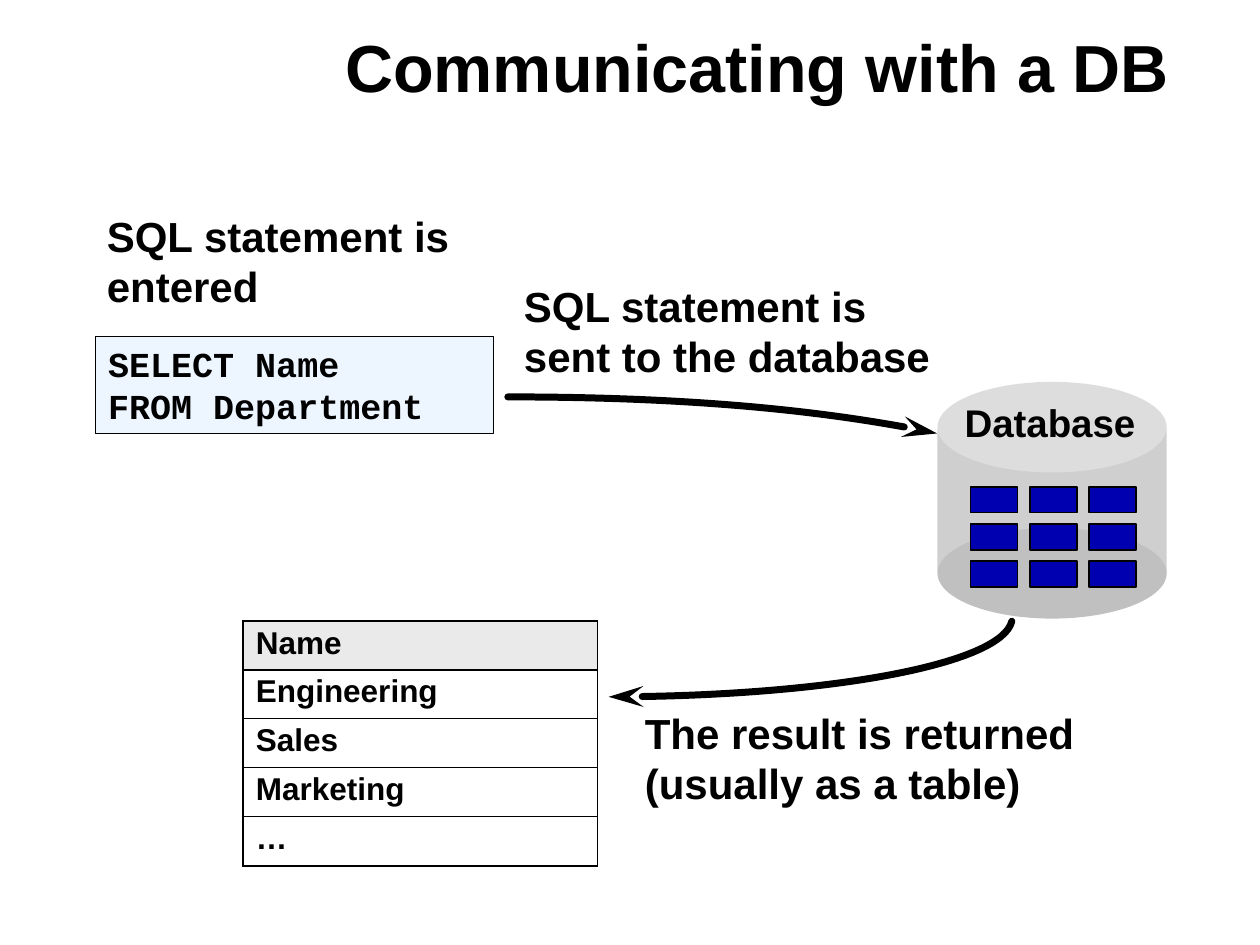
from lxml import etree
from pptx import Presentation
from pptx.dml.color import RGBColor
from pptx.enum import shapes, text
from pptx.oxml import ns
from pptx.util import Pt

# Content; positions are left, top, width, height in points
TITLE = "Communicating with a DB"
CAPTIONS = [
    (["SQL statement is", "sent to the database"], (292.3, 156.6, 265, 64.8)),
    (["SQL statement is", "entered"], (54, 116.8, 225, 64.8)),
    (["The result is returned", "(usually as a table)"], (361.4, 400.6, 275, 64.8)),
]
QUERY = ["SELECT Name", "FROM Department"]
RESULT = ["Name", "Engineering", "Sales", "Marketing", "…"]
# Start, two control points, end
ARROWS = [
    [(290.2, 226.8), (381.6, 226.8), (471.6, 234), (535.5, 247.7)],
    [(578.2, 355), (572.4, 378.7), (471.6, 398.2), (347.8, 398.2)],
]
# Cylinder parts from back to front
CYLINDER_LEFT, CYLINDER_WIDTH = 535.7, 131
CYLINDER = [
    (shapes.MSO_SHAPE.RECTANGLE, 245.5, 81.4, "CFCFCF"),
    (shapes.MSO_SHAPE.OVAL, 218.2, 51.8, "DDDDDD"),
    (shapes.MSO_SHAPE.OVAL, 301.7, 51.8, "C0C0C0"),
]
BLOCK_LEFT, BLOCK_TOP, BLOCK_WIDTH, BLOCK_HEIGHT = 554.6, 278.2, 26.9, 14.8
COLUMN_STEP, ROW_STEP = 33.8, 21.2
BLACK = "000000"


def color(value):
    return RGBColor.from_string(value)


def points(values):
    return [Pt(v) for v in values]


def element(parent, tag, **attributes):
    return etree.SubElement(parent, ns.qn(tag), attributes)


def write(frame, lines, size, font="Arial", spacing=None,
          align=text.PP_ALIGN.LEFT):
    for i, line in enumerate(lines):
        paragraph = frame.paragraphs[0] if i == 0 else frame.add_paragraph()
        paragraph.alignment = align
        paragraph.space_before = Pt(0)
        paragraph.line_spacing = spacing or Pt(1.2 * size)
        run = paragraph.add_run()
        run.text = line
        run.font.name, run.font.size, run.font.bold = font, Pt(size), True
        run.font.color.rgb = color(BLACK)


def add_figure(parent, kind, box, fill, line_width=None):
    figure = parent.add_shape(kind, *points(box))
    figure.shadow.inherit = False
    figure.fill.solid()
    figure.fill.fore_color.rgb = color(fill)
    if line_width:
        figure.line.color.rgb = color(BLACK)
        figure.line.width = Pt(line_width)
    else:
        figure.line.fill.background()
    return figure


def add_label(parent, lines, box, size, align=text.PP_ALIGN.LEFT):
    label = parent.add_textbox(*points(box))
    label.text_frame.word_wrap = True
    write(label.text_frame, lines, size, align=align)


def add_curve(parent, curve):
    start, *rest = [points(p) for p in curve]
    builder = parent.build_freeform(*start)
    builder.add_line_segments(rest, close=False)
    arrow = builder.convert_to_shape()
    arrow.shadow.inherit = False
    arrow.fill.background()
    arrow.line.color.rgb = color(BLACK)
    arrow.line.width = Pt(4)
    # Turn the three straight segments into one Bezier segment
    outline = next(arrow._element.iter(ns.qn("a:path")))
    bezier = element(outline, "a:cubicBezTo")
    for segment in outline.findall(ns.qn("a:lnTo")):
        bezier.append(segment[0])
        outline.remove(segment)
    line = arrow.line._get_or_add_ln()
    line.set("cap", "rnd")
    element(line, "a:round")
    element(line, "a:tailEnd", type="stealth", w="med", len="lg")


def set_borders(cell, top, bottom):
    properties = cell._tc.get_or_add_tcPr()
    widths = {"L": 1.08, "R": 1.08, "T": top, "B": bottom}
    for i, (side, width) in enumerate(widths.items()):
        border = element(properties, f"a:ln{side}", w=str(int(Pt(width))))
        element(element(border, "a:solidFill"), "a:srgbClr", val=BLACK)
        properties.insert(i, border)


def main():
    deck = Presentation()
    deck.slide_width, deck.slide_height = Pt(720), Pt(540)
    slide = deck.slides.add_slide(deck.slide_layouts[5])
    parts = slide.shapes

    # Title
    title = parts.title
    title.left, title.top, title.width, title.height = points((190, 5.8, 516, 71.3))
    title.text_frame.auto_size = text.MSO_AUTO_SIZE.NONE
    title.text_frame.vertical_anchor = text.MSO_ANCHOR.MIDDLE
    write(title.text_frame, [TITLE], 38, spacing=0.85)

    # Arrows and captions
    for curve in ARROWS:
        add_curve(parts, curve)
    for lines, box in CAPTIONS:
        add_label(parts, lines, box, 24)

    # Query
    query = add_figure(parts, shapes.MSO_SHAPE.RECTANGLE,
                       (54.7, 192.2, 227.5, 55.4), "DDECFF", 0.75)
    tint = next(query._element.spPr.iter(ns.qn("a:srgbClr")))
    element(tint, "a:alpha", val="50000")
    query.text_frame.vertical_anchor = text.MSO_ANCHOR.TOP
    write(query.text_frame, QUERY, 20, "Courier New")

    # Result table
    result = parts.add_table(len(RESULT), 1, *points((139, 354.8, 202.5, 140))).table
    result.horz_banding = False
    for i, value in enumerate(RESULT):
        result.rows[i].height = Pt(28)
        cell = result.cell(i, 0)
        if i == 0:
            cell.fill.solid()
            cell.fill.fore_color.rgb = color("EAEAEA")
        else:
            cell.fill.background()
        write(cell.text_frame, [value], 18, spacing=0.95)
        set_borders(cell, 1.08 if i < 2 else 0.45,
                    1.08 if i in (0, len(RESULT) - 1) else 0.45)

    # Database cylinder with its grid of blocks
    database = parts.add_group_shape().shapes
    for kind, top, height, fill in CYLINDER:
        add_figure(database, kind, (CYLINDER_LEFT, top, CYLINDER_WIDTH, height), fill)
    add_label(database, ["Database"], (537, 224.2, 126, 33.6), 22,
              align=text.PP_ALIGN.CENTER)
    for row in range(3):
        for column in range(3):
            box = (BLOCK_LEFT + column * COLUMN_STEP, BLOCK_TOP + row * ROW_STEP,
                   BLOCK_WIDTH, BLOCK_HEIGHT)
            add_figure(database, shapes.MSO_SHAPE.RECTANGLE, box, "0000B0", 1)

    deck.save("out.pptx")


if __name__ == "__main__":
    main()
